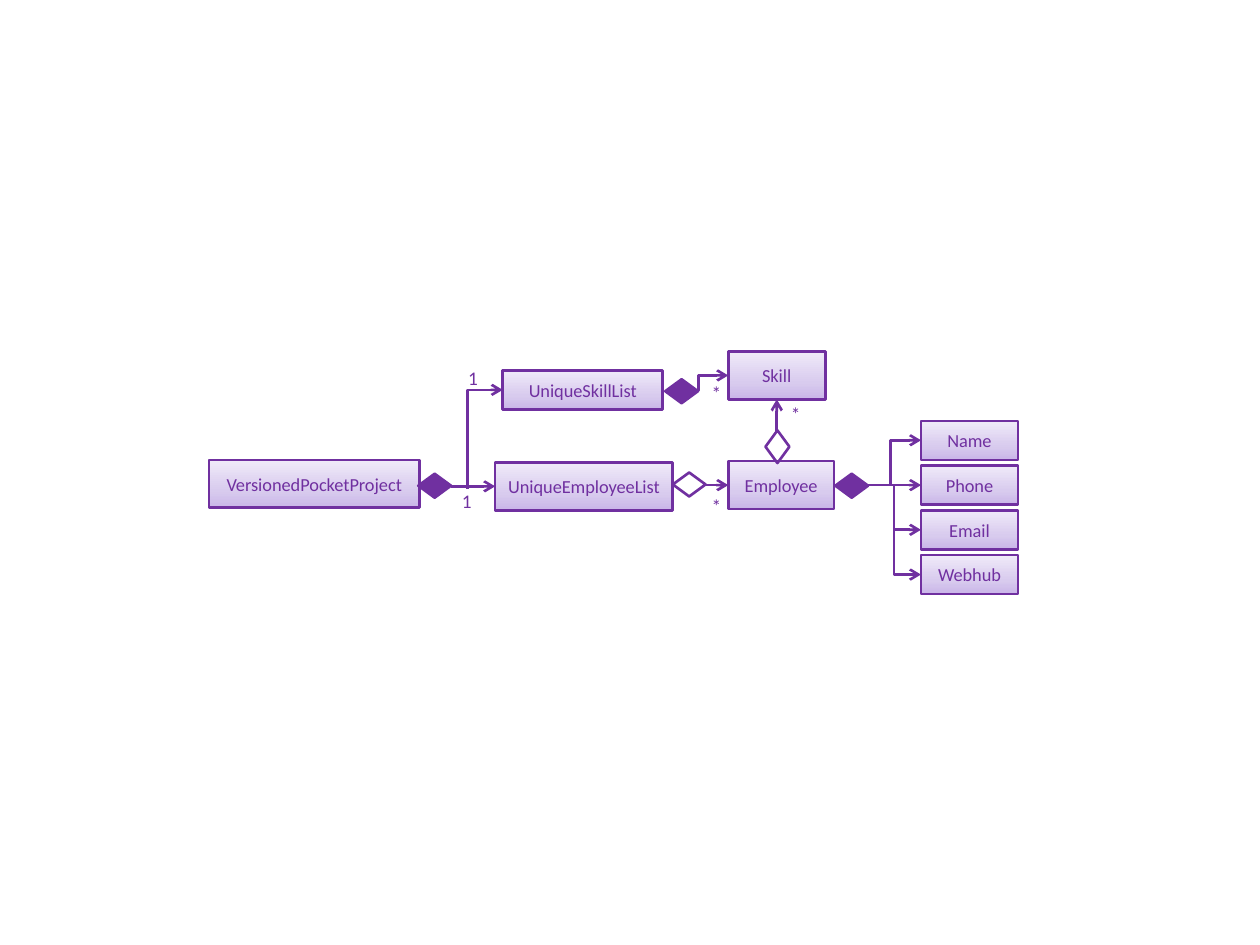
from copy import deepcopy

from lxml import etree
from pptx import Presentation
from pptx.dml.color import RGBColor
from pptx.enum.shapes import MSO_CONNECTOR, MSO_SHAPE
from pptx.enum.text import MSO_ANCHOR, PP_ALIGN
from pptx.oxml.ns import qn
from pptx.util import Inches, Pt

RECTANGLE, DIAMOND = MSO_SHAPE.RECTANGLE, MSO_SHAPE.FLOWCHART_DECISION
STRAIGHT, ELBOW = MSO_CONNECTOR.STRAIGHT, MSO_CONNECTOR.ELBOW
CENTER, MIDDLE = PP_ALIGN.CENTER, MSO_ANCHOR.MIDDLE
LEFT_SIDE, BOTTOM_SIDE = 1, 2

THEME = {
    "font": "Calibri",
    "ink": RGBColor.from_string("7030A0"),
    "gradient": [(0, "C9B5E8"), (0.35, "D8CBEE"), (1, "F0EAF9")],
    "box_size": Pt(10.5),
    "label_size": Pt(11),
    "line": Pt(1.5),
}

# Classes: name, left, top, width, height
CLASSES = [
    ("VersionedPocketProject", 1.66, 3.65, 1.67, 0.38),
    ("UniqueEmployeeList", 3.93, 3.67, 1.41, 0.38),
    ("UniqueSkillList", 3.99, 2.94, 1.27, 0.31),
    ("Employee", 5.78, 3.66, 0.84, 0.38),
    ("Skill", 5.78, 2.79, 0.77, 0.38),
]

# Employee fields, stacked at an equal pitch
FIELDS = ["Name", "Phone", "Email", "Webhub"]
FIELD_LEFT, FIELD_TOP, FIELD_PITCH = 7.31, 3.34, 0.355
FIELD_WIDTH, FIELD_HEIGHT = 0.77, 0.31

# Diamonds: left, top, filled (composition) or hollow (aggregation), rotation
DIAMOND_WIDTH, DIAMOND_HEIGHT = 0.26, 0.19
DIAMONDS = [
    (3.32, 3.76, True, 0),
    (5.34, 3.75, False, 0),
    (6.63, 3.76, True, 0),
    (5.28, 3.01, True, 0),
    (6.04, 3.45, False, 270),
]

# Arrows: kind, start x, start y, target class, target side, bend position
ARROWS = [
    (STRAIGHT, 3.58, 3.86, "UniqueEmployeeList", LEFT_SIDE, None),
    (ELBOW, 3.71, 3.88, "UniqueSkillList", LEFT_SIDE, 0),
    (STRAIGHT, 5.6, 3.85, "Employee", LEFT_SIDE, None),
    (ELBOW, 5.31, 3.1, "Skill", LEFT_SIDE, 0.5),
    (STRAIGHT, 6.17, 3.42, "Skill", BOTTOM_SIDE, None),
    (ELBOW, 6.83, 3.85, "Name", LEFT_SIDE, 0.5),
    (STRAIGHT, 6.88, 3.85, "Phone", LEFT_SIDE, None),
    (ELBOW, 6.88, 3.85, "Email", LEFT_SIDE, 0.5),
    (ELBOW, 6.88, 3.85, "Webhub", LEFT_SIDE, 0.5),
]

# Multiplicities: text, left, top
LABEL_WIDTH, LABEL_HEIGHT = 0.21, 0.2
LABELS = [
    ("1", 3.6, 3.88),
    ("1", 3.65, 2.91),
    ("*", 5.58, 3.92),
    ("*", 5.58, 3.03),
    ("*", 6.21, 3.19),
]


def write_text(frame, text, size):
    para = frame.paragraphs[0]
    para.text = text
    para.alignment = CENTER
    para.font.name = THEME["font"]
    para.font.size = size
    para.font.color.rgb = THEME["ink"]


def set_line(item):
    item.line.color.rgb = THEME["ink"]
    item.line.width = THEME["line"]


def add_outlined(page, kind, *place):
    shape = page.shapes.add_shape(kind, *map(Inches, place))
    shape.shadow.inherit = False
    set_line(shape)
    return shape


def add_class(page, name, *place):
    box = add_outlined(page, RECTANGLE, *place)
    box.fill.gradient()
    box.fill.gradient_angle = 90
    stops = box._element.spPr.find(".//" + qn("a:gsLst"))
    stops.append(deepcopy(stops[0]))
    for stop, (position, color) in zip(box.fill.gradient_stops, THEME["gradient"]):
        stop.position = position
        stop.color.rgb = RGBColor.from_string(color)
    frame = box.text_frame
    frame.word_wrap = False
    frame.vertical_anchor = MIDDLE
    write_text(frame, name, THEME["box_size"])
    return box


def add_diamond(page, left, top, filled, rotation):
    diamond = add_outlined(page, DIAMOND, left, top, DIAMOND_WIDTH, DIAMOND_HEIGHT)
    diamond.rotation = rotation
    if filled:
        diamond.fill.solid()
        diamond.fill.fore_color.rgb = THEME["ink"]
    else:
        diamond.fill.background()


def add_arrow(page, kind, x, y, target, side, bend):
    start = Inches(x), Inches(y)
    arrow = page.shapes.add_connector(kind, *start, *start)
    arrow.end_connect(target, side)
    # Straight arrows run level or upright into their target
    if kind == STRAIGHT and side == LEFT_SIDE:
        arrow.begin_y = arrow.end_y
    elif kind == STRAIGHT:
        arrow.begin_x = arrow.end_x
    set_line(arrow)
    properties = arrow._element.spPr
    etree.SubElement(properties.find(qn("a:ln")), qn("a:tailEnd"), type="arrow")
    etree.SubElement(properties, qn("a:effectLst"))
    if bend is not None:
        guides = properties.find(qn("a:prstGeom")).find(qn("a:avLst"))
        etree.SubElement(guides, qn("a:gd"), name="adj1", fmla=f"val {int(bend * 100000)}")


def add_label(page, text, left, top):
    place = left, top, LABEL_WIDTH, LABEL_HEIGHT
    frame = page.shapes.add_textbox(*map(Inches, place)).text_frame
    frame.word_wrap = True
    frame.margin_left = frame.margin_right = frame.margin_top = frame.margin_bottom = 0
    write_text(frame, text, THEME["label_size"])


def main():
    deck = Presentation()
    deck.slide_width, deck.slide_height = Inches(10), Inches(7.5)
    page = deck.slides.add_slide(deck.slide_layouts[6])

    fields = [
        (name, FIELD_LEFT, FIELD_TOP + row * FIELD_PITCH, FIELD_WIDTH, FIELD_HEIGHT)
        for row, name in enumerate(FIELDS)
    ]
    boxes = {name: add_class(page, name, *place) for name, *place in CLASSES + fields}
    for diamond in DIAMONDS:
        add_diamond(page, *diamond)
    for kind, x, y, target, side, bend in ARROWS:
        add_arrow(page, kind, x, y, boxes[target], side, bend)
    for label in LABELS:
        add_label(page, *label)

    deck.save("out.pptx")


if __name__ == "__main__":
    main()
